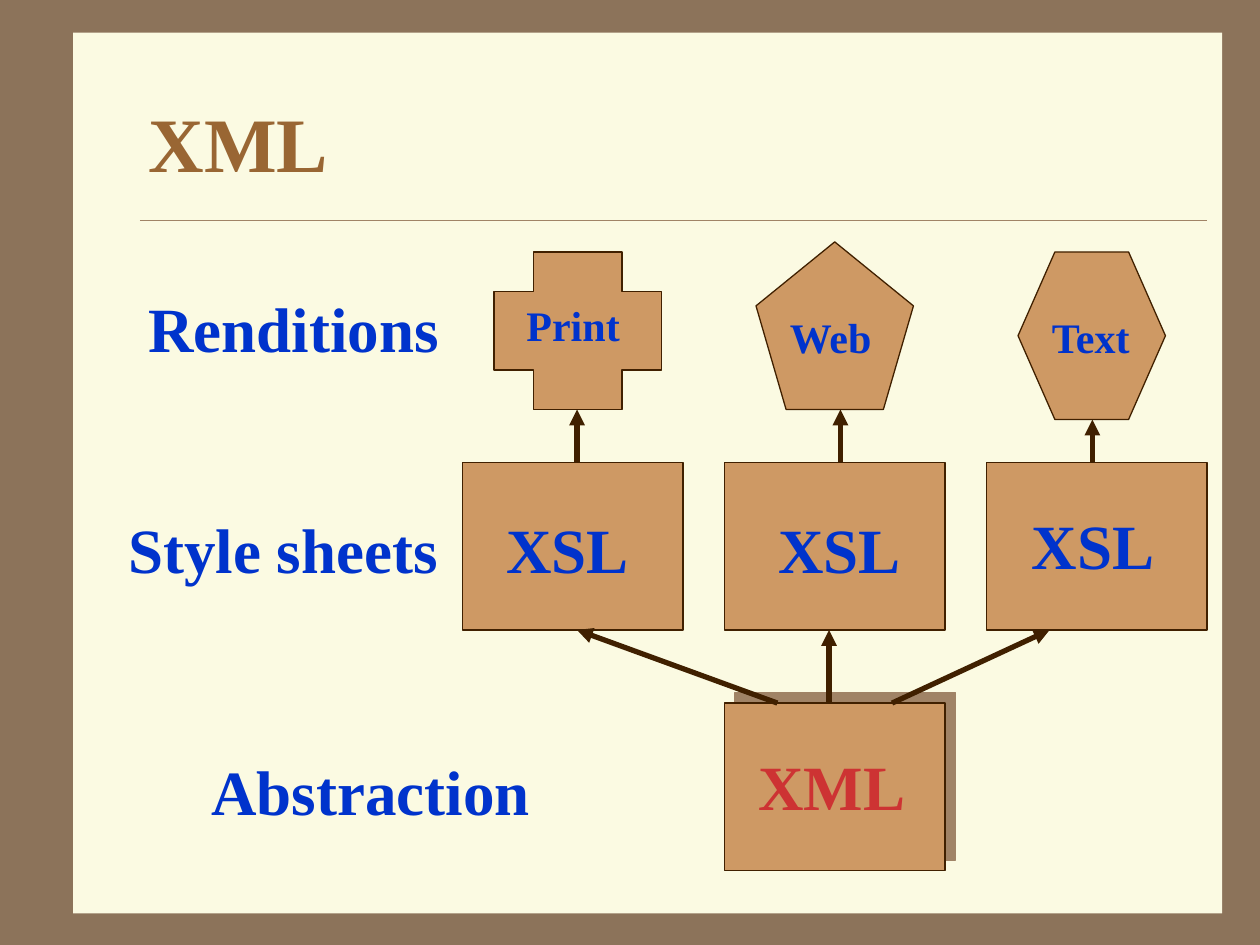
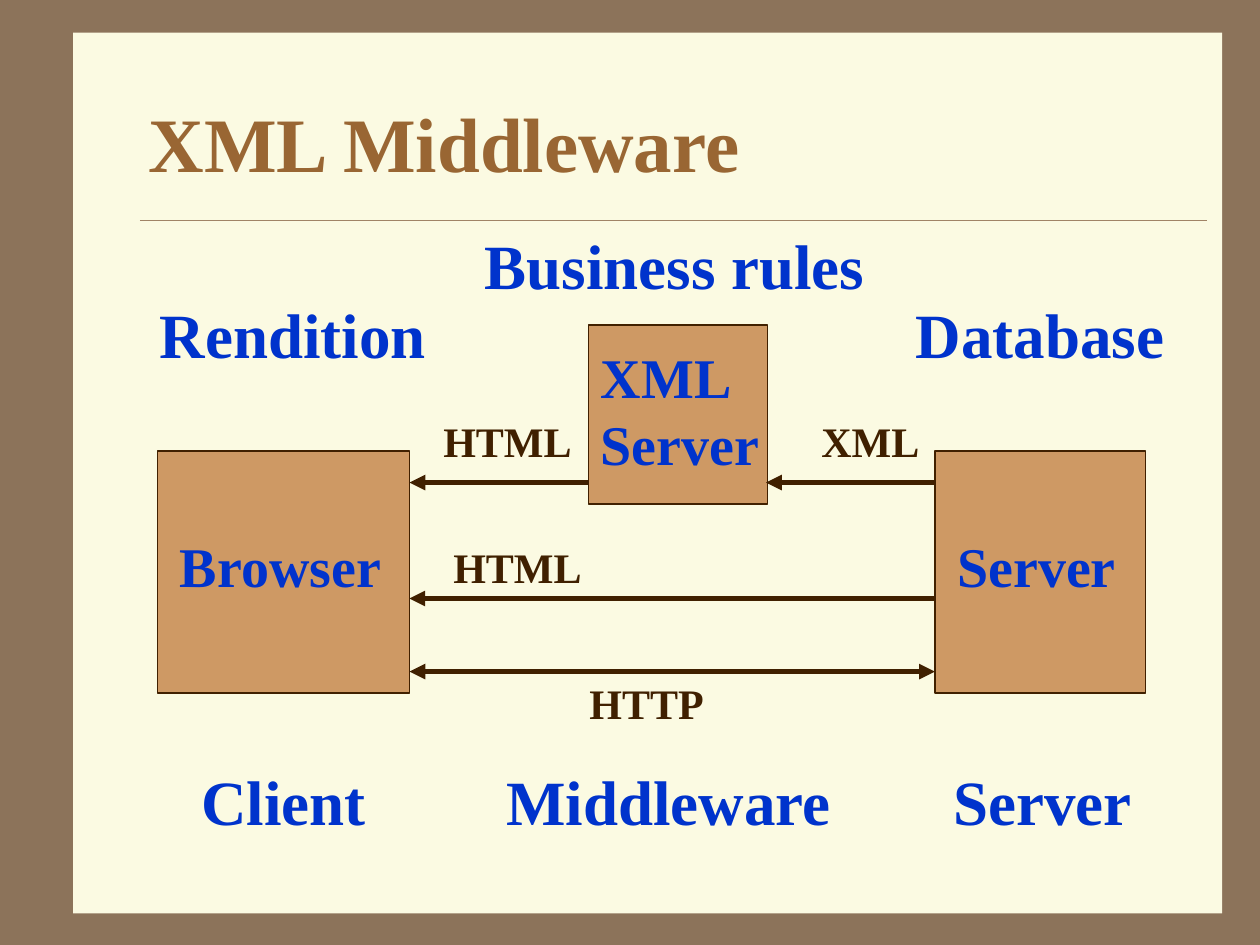
from typing import NamedTuple

from lxml.etree import SubElement
from pptx import Presentation
from pptx.dml.color import RGBColor
from pptx.enum.shapes import MSO_CONNECTOR as Connector, MSO_SHAPE as Preset, PP_PLACEHOLDER as Holder
from pptx.enum.text import MSO_ANCHOR as Anchor, MSO_AUTO_SIZE as AutoSize, PP_ALIGN as Align
from pptx.oxml.ns import qn
from pptx.util import Inches, Pt

FONT = "Times New Roman"
FRAME = "8C735A"
PAPER = "FBFAE2"
TAN = "A08366"
TITLE = "996633"
FILL = "CE9964"
DARK = "402000"
BLUE = "0033CC"
RED = "CD3333"

COLUMN_LEFT, COLUMN_STEP = 3.67, 2.08
BOX_WIDTH, BOX_HEIGHT = 1.75, 1.33
STYLE_TOP, STYLE_BOTTOM = 3.67, 5
XML_TOP = 5.58
CLIENT_RIGHT, SERVER_LEFT = 3.25, 7.42
MESSAGE_TOP = 3.83


class Block(NamedTuple):
    left: float
    top: float
    width: float
    height: float
    preset: Preset = Preset.RECTANGLE
    shadowed: bool = False


class Label(NamedTuple):
    text: str
    left: float
    top: float
    width: float
    height: float = 0.7
    size: int = 36
    color: str = BLUE


class Arrow(NamedTuple):
    x1: float
    y1: float
    x2: float
    y2: float
    two_way: bool = False


def paint(target, color: str) -> None:
    target.solid()
    target.fore_color.rgb = RGBColor.from_string(color)


def set_font(font, size: int, color: str) -> None:
    font.name = FONT
    font.size = Pt(size)
    font.bold = True
    font.color.rgb = RGBColor.from_string(color)


def add_line(page, x1: float, y1: float, x2: float, y2: float, color: str, width: float):
    line = page.shapes.add_connector(
        Connector.STRAIGHT, Inches(x1), Inches(y1), Inches(x2), Inches(y2))
    paint(line.line.fill, color)
    line.line.width = Pt(width)
    SubElement(line.element.spPr, qn("a:effectLst"))
    return line


def add_block(page, block: Block) -> None:
    shape = page.shapes.add_shape(
        block.preset, Inches(block.left), Inches(block.top),
        Inches(block.width), Inches(block.height))
    paint(shape.fill, FILL)
    paint(shape.line.fill, DARK)
    shape.line.width = Pt(0.75)
    shape.shadow.inherit = False
    if block.shadowed:
        effects = shape.element.spPr.find(qn("a:effectLst"))
        shadow = SubElement(effects, qn("a:outerShdw"), dist=str(Pt(8.5)),
                            dir=str(315 * 60000), algn="ctr", rotWithShape="0")
        SubElement(shadow, qn("a:srgbClr"), val=TAN)


def add_label(page, label: Label) -> None:
    box = page.shapes.add_textbox(
        Inches(label.left), Inches(label.top), Inches(label.width), Inches(label.height))
    frame = box.text_frame
    frame.word_wrap = True
    frame.auto_size = AutoSize.SHAPE_TO_FIT_TEXT
    frame.text = label.text
    set_font(frame.paragraphs[0].font, label.size, label.color)


def add_arrow(page, arrow: Arrow) -> None:
    line = add_line(page, arrow.x1, arrow.y1, arrow.x2, arrow.y2, DARK, 3)
    outline = line.element.spPr.find(qn("a:ln"))
    for end in ("a:headEnd", "a:tailEnd") if arrow.two_way else ("a:tailEnd",):
        SubElement(outline, qn(end), type="triangle")


def prepare_layout(deck, layout) -> None:
    paint(deck.slide_master.background.fill, FRAME)
    for holder in list(layout.placeholders):
        if holder.placeholder_format.type == Holder.TITLE:
            holder.left, holder.top = Inches(1.08), Inches(0.5)
            holder.width, holder.height = Inches(8.5), Inches(1.25)
        else:
            layout.shapes.element.remove(holder.element)


def move_frame_to_layout(page, layout) -> None:
    paper = page.shapes.add_shape(
        Preset.RECTANGLE, Inches(0.58), Inches(0.26), Inches(9.12), Inches(6.99))
    paint(paper.fill, PAPER)
    paper.line.fill.background()
    paper.shadow.inherit = False
    rule = add_line(page, 1.11, 1.75, 9.58, 1.75, TAN, 0.25)
    for position, part in enumerate((paper, rule), start=2):
        layout.shapes.element.insert(position, part.element)


def add_page(deck, layout, title: str):
    page = deck.slides.add_slide(layout)
    frame = page.shapes.title.text_frame
    frame.text = title
    frame.vertical_anchor = Anchor.MIDDLE
    frame.auto_size = AutoSize.NONE
    frame.paragraphs[0].alignment = Align.LEFT
    set_font(frame.paragraphs[0].font, 44, TITLE)
    return page


def draw(page, blocks: list[Block], labels: list[Label], arrows: list[Arrow]) -> None:
    for block in blocks:
        add_block(page, block)
    for label in labels:
        add_label(page, label)
    for arrow in arrows:
        add_arrow(page, arrow)


def draw_publishing(page) -> None:
    columns = [COLUMN_LEFT + COLUMN_STEP * index for index in range(3)]
    blocks = [Block(columns[1], XML_TOP, BOX_WIDTH, BOX_HEIGHT, shadowed=True)]
    blocks += [Block(left, STYLE_TOP, BOX_WIDTH, BOX_HEIGHT) for left in columns]
    blocks += [
        Block(3.92, 2, 1.33, 1.25, Preset.CROSS),
        Block(6, 1.92, 1.25, 1.33, Preset.REGULAR_PENTAGON),
        Block(8.08, 2, 1.17, 1.33, Preset.HEXAGON),
    ]
    labels = [
        Label("XML", 5.92, 5.88, 1.75, color=RED),
        Label("Abstraction", 1.58, 5.92, 2.83),
        Label("Style sheets", 0.92, 4, 2.7),
        Label("Renditions", 1.08, 2.25, 2.55),
        Label("Print", 4.08, 2.33, 0.98, 0.5, 24),
        Label("Web", 6.17, 2.42, 0.9, 0.5, 24),
        Label("Text", 8.25, 2.42, 0.9, 0.5, 24),
    ]
    labels += [Label("XSL", left, top, 1.22)
               for left, top in ((3.92, 4), (6.08, 4), (8.09, 3.97))]
    arrows = [Arrow(start, XML_TOP, end, STYLE_BOTTOM)
              for start, end in ((6.58, 6.58), (7.08, 8.33), (6.17, 4.58))]
    arrows += [Arrow(x, STYLE_TOP, x, end)
               for x, end in ((4.58, 3.25), (6.67, 3.25), (8.67, 3.33))]
    draw(page, blocks, labels, arrows)


def draw_middleware(page) -> None:
    blocks = [
        Block(1.25, 3.58, 2, 1.92),
        Block(4.67, 2.58, 1.42, 1.42),
        Block(SERVER_LEFT, 3.58, 1.67, 1.92),
    ]
    labels = [
        Label("Browser", 1.33, 4.17, 2.58, 0.64, 32),
        Label("Server", 7.5, 4.17, 1.5, 0.64, 32),
        Label("XML Server", 4.67, 2.67, 1.5, 1.17, 32),
        Label("Client", 1.5, 6, 1.55),
        Label("Middleware", 3.92, 6, 2.83),
        Label("Server", 7.47, 6, 1.66),
        Label("Rendition", 1.17, 2.3, 2.36),
        Label("Business rules", 3.75, 1.75, 3.26),
        Label("Database", 7.17, 2.3, 2.22),
        Label("HTML", 3.42, 3.25, 1.26, 0.5, 24, DARK),
        Label("XML", 6.42, 3.25, 1.02, 0.5, 24, DARK),
        Label("HTML", 3.5, 4.25, 1.26, 0.5, 24, DARK),
        Label("HTTP", 4.58, 5.33, 1.15, 0.5, 24, DARK),
    ]
    arrows = [
        Arrow(SERVER_LEFT, 4.75, CLIENT_RIGHT, 4.75),
        Arrow(4.67, MESSAGE_TOP, CLIENT_RIGHT, MESSAGE_TOP),
        Arrow(SERVER_LEFT, MESSAGE_TOP, 6.08, MESSAGE_TOP),
        Arrow(CLIENT_RIGHT, 5.33, SERVER_LEFT, 5.33, two_way=True),
    ]
    draw(page, blocks, labels, arrows)


def main() -> None:
    deck = Presentation()
    deck.slide_width, deck.slide_height = Inches(10), Inches(7.5)
    layout = deck.slide_layouts.get_by_name("Title Only")
    prepare_layout(deck, layout)
    publishing = add_page(deck, layout, "XML")
    move_frame_to_layout(publishing, layout)
    draw_publishing(publishing)
    draw_middleware(add_page(deck, layout, "XML Middleware"))
    deck.save("out.pptx")


if __name__ == "__main__":
    main()
